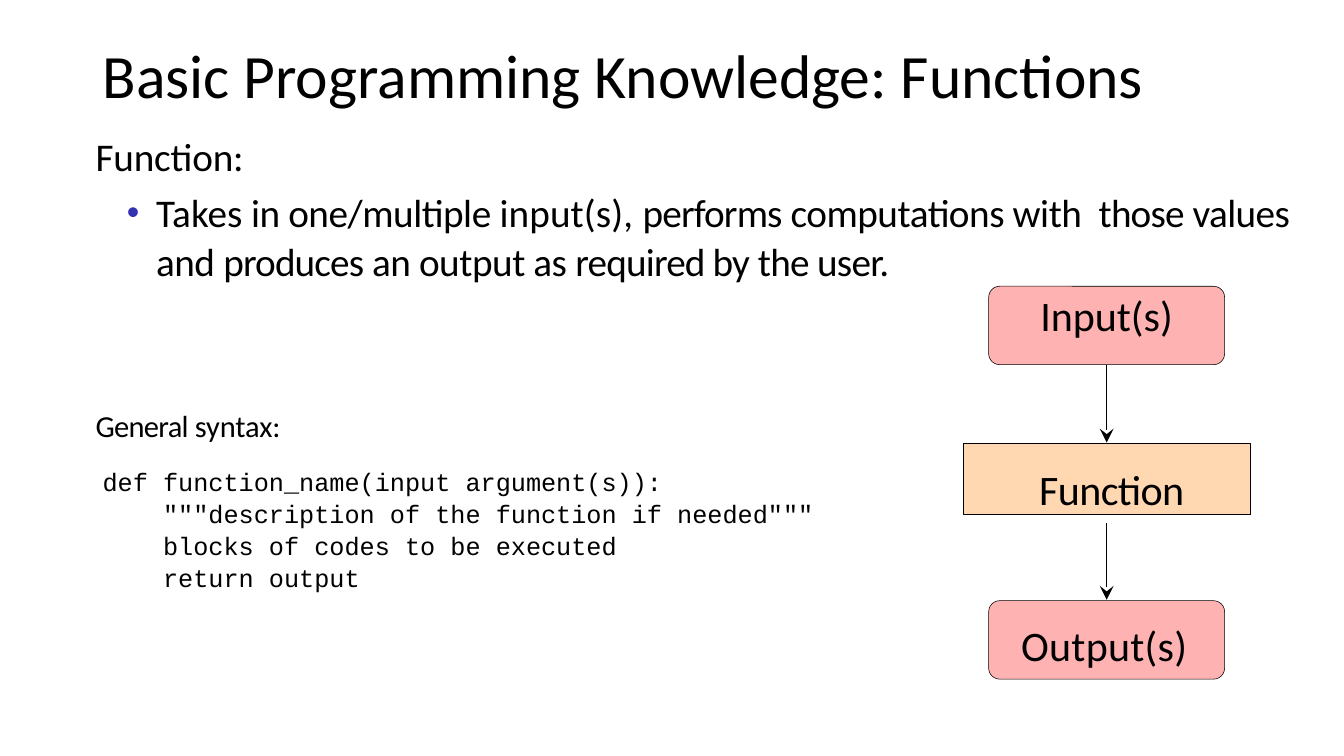
from dataclasses import dataclass

from lxml import etree
from pptx import Presentation
from pptx import util as u
from pptx.dml.color import RGBColor
from pptx.enum import shapes, text
from pptx.oxml.ns import qn

BLACK, PINK, PEACH, BULLET_BLUE = "000000", "FFB2B2", "FFD8B2", "3333B2"
SANS, MONO = "Calibri", "Courier New"
FLOW_CENTER = 790.5
CORNER_RATIO = 0.14


@dataclass
class Line:
    """One paragraph; each run is its wording and its letter spacing in points."""
    runs: list[tuple[str, float]]
    indent: float = 0
    hanging: float = 0
    spacing: float = 1.0
    before: float = 0
    bullet: bool = False
    align: text.PP_ALIGN = text.PP_ALIGN.LEFT


@dataclass
class TextBlock:
    left: float
    top: float
    width: float
    height: float
    size: float
    lines: list[Line]
    font: str = SANS
    inset_x: float = 0
    inset_top: float = 0


@dataclass
class FlowBox:
    line: Line
    top: float
    width: float
    height: float
    fill: str
    kind: shapes.MSO_SHAPE
    inset_left: float = 0
    inset_top: float = 0


@dataclass
class Arrow:
    start: float
    end: float


BLOCKS = [
    TextBlock(66.24, 28.8, 828, 64, 44,
              [Line([("Basic Programming Knowledge: Functions", 0)], spacing=0.9)],
              inset_x=7.2, inset_top=3.6),
    TextBlock(66.24, 74.9, 856.1, 129.6, 28, [
        Line([("Function:", -0.1)], indent=2),
        Line([("Takes ", 0), ("in one/multiple ", -0.3), ("input(s), ", 0.1),
              ("performs ", -0.6), ("computations with  ", -0.3),
              ("those ", -0.6), ("values and ", -0.4), ("produces ", -0.6),
              ("an output as ", -0.3), ("required by ", -0.6),
              ("the user.", -0.5)],
             indent=45.36, hanging=20.88, spacing=1.03, before=5.8, bullet=True),
    ], inset_top=19.4),
    TextBlock(66.24, 289.4, 141, 28, 21.8,
              [Line([("General ", -0.5), ("syntax:", -0.1)], indent=2)],
              inset_top=1.4),
    TextBlock(66.24, 328.3, 583.2, 94.3, 18, [
        Line([(code, 0)], indent=indent, spacing=1.06)
        for code, indent in (
            ("def function_name(input argument(s)):", 0),
            ('"""description of the function if needed"""', 43.2),
            ("blocks of codes to be executed", 43.2),
            ("return output", 43.2))
    ], font=MONO, inset_x=7.2, inset_top=3.6),
]

FLOW_BOXES = [
    FlowBox(Line([("Input(s)", 0)], align=text.PP_ALIGN.CENTER),
            204.5, 168.5, 56, PINK, shapes.MSO_SHAPE.ROUNDED_RECTANGLE),
    FlowBox(Line([("Function", -0.4)], align=text.PP_ALIGN.CENTER),
            316.8, 205.2, 50.6, PEACH, shapes.MSO_SHAPE.RECTANGLE, 7.2, 14.4),
    FlowBox(Line([("Output(s)", 0.2)]),
            429.1, 168.5, 56, PINK, shapes.MSO_SHAPE.ROUNDED_RECTANGLE, 20.9, 10.8),
]

ARROWS = [Arrow(260.6, 316.1), Arrow(373.7, 428.4)]


def color(value: str) -> RGBColor:
    return RGBColor.from_string(value)


def apply(target, values: dict) -> None:
    for name, value in values.items():
        setattr(target, name, value)


def add_bullet(properties) -> None:
    tint = etree.SubElement(properties, qn("a:buClr"))
    etree.SubElement(tint, qn("a:srgbClr"), val=BULLET_BLUE)
    etree.SubElement(properties, qn("a:buSzPct"), val="91000")
    etree.SubElement(properties, qn("a:buFont"), typeface="Arial")
    etree.SubElement(properties, qn("a:buChar"), char="•")


def write_lines(frame, lines: list[Line], font: str, size: float) -> None:
    for index, line in enumerate(lines):
        paragraph = frame.add_paragraph() if index else frame.paragraphs[0]
        apply(paragraph, {"alignment": line.align, "line_spacing": line.spacing,
                          "space_before": u.Pt(line.before)})
        properties = paragraph._p.get_or_add_pPr()
        properties.set("marL", str(u.Pt(line.indent)))
        properties.set("indent", str(-u.Pt(line.hanging)))
        if line.bullet:
            add_bullet(properties)
        for wording, tracking in line.runs:
            run = paragraph.add_run()
            run.text = wording
            apply(run.font, {"name": font, "size": u.Pt(size)})
            run.font.color.rgb = color(BLACK)
            run._r.get_or_add_rPr().set("spc", str(round(tracking * 100)))


def set_frame(frame, left: float, right: float, top: float) -> None:
    apply(frame, {"word_wrap": True, "vertical_anchor": text.MSO_ANCHOR.TOP,
                  "margin_left": u.Pt(left), "margin_right": u.Pt(right),
                  "margin_top": u.Pt(top), "margin_bottom": 0})


def add_text_block(slide, block: TextBlock) -> None:
    shape = slide.shapes.add_textbox(u.Pt(block.left), u.Pt(block.top),
                                     u.Pt(block.width), u.Pt(block.height))
    set_frame(shape.text_frame, block.inset_x, block.inset_x, block.inset_top)
    write_lines(shape.text_frame, block.lines, block.font, block.size)


def add_flow_box(slide, box: FlowBox) -> None:
    shape = slide.shapes.add_shape(
        box.kind, u.Pt(FLOW_CENTER - box.width / 2), u.Pt(box.top),
        u.Pt(box.width), u.Pt(box.height))
    shape.shadow.inherit = False
    if box.kind == shapes.MSO_SHAPE.ROUNDED_RECTANGLE:
        shape.adjustments[0] = CORNER_RATIO
    shape.fill.solid()
    shape.fill.fore_color.rgb = color(box.fill)
    shape.line.color.rgb = color(BLACK)
    shape.line.width = u.Pt(0.4)
    set_frame(shape.text_frame, box.inset_left, 0, box.inset_top)
    write_lines(shape.text_frame, [box.line], SANS, 30)


def add_arrow(slide, arrow: Arrow) -> None:
    connector = slide.shapes.add_connector(
        shapes.MSO_CONNECTOR.STRAIGHT, u.Pt(FLOW_CENTER), u.Pt(arrow.start),
        u.Pt(FLOW_CENTER), u.Pt(arrow.end))
    connector.line.color.rgb = color(BLACK)
    connector.line.width = u.Pt(0.8)
    etree.SubElement(connector.line._get_or_add_ln(), qn("a:tailEnd"),
                     type="stealth", w="lg", len="lg")
    etree.SubElement(connector._element.spPr, qn("a:effectLst"))


def main() -> None:
    presentation = Presentation()
    apply(presentation, {"slide_width": u.Pt(960), "slide_height": u.Pt(540)})
    slide = presentation.slides.add_slide(presentation.slide_layouts[6])
    for block in BLOCKS:
        add_text_block(slide, block)
    for box in FLOW_BOXES:
        add_flow_box(slide, box)
    for arrow in ARROWS:
        add_arrow(slide, arrow)
    presentation.save("out.pptx")


if __name__ == "__main__":
    main()
